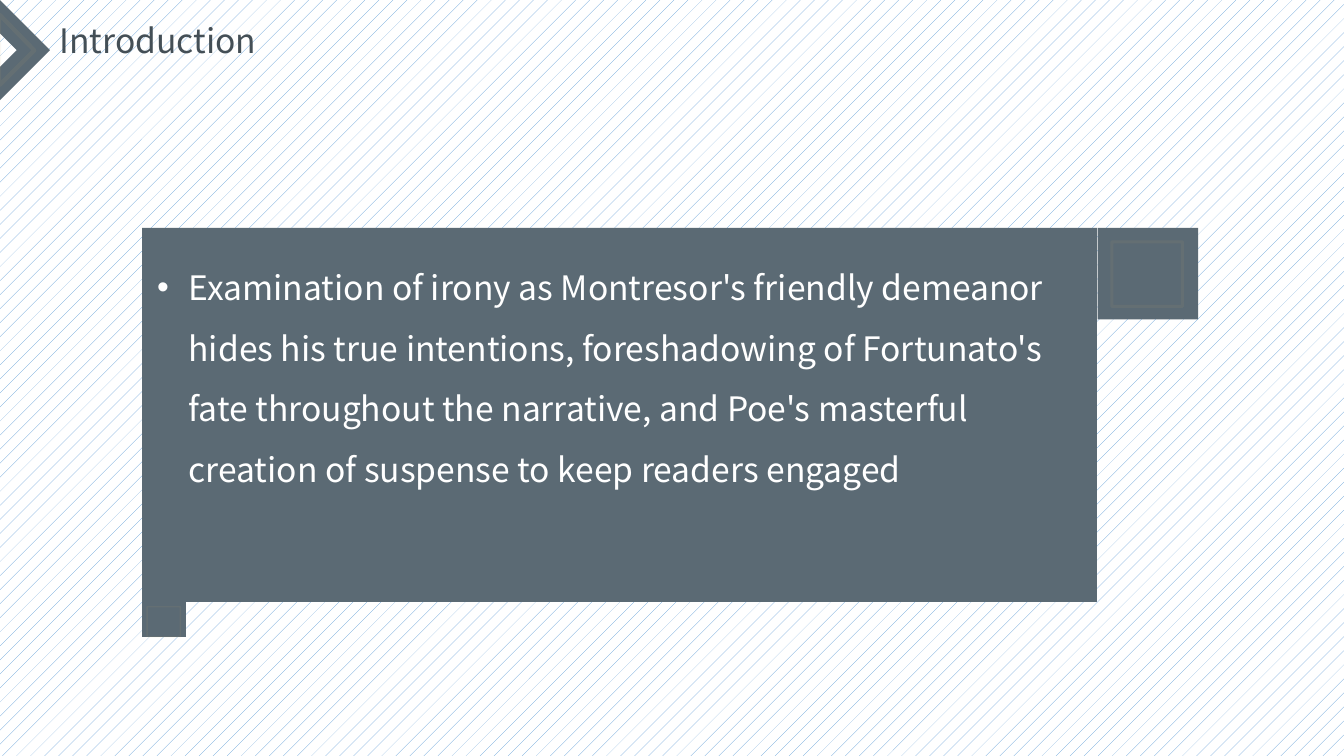
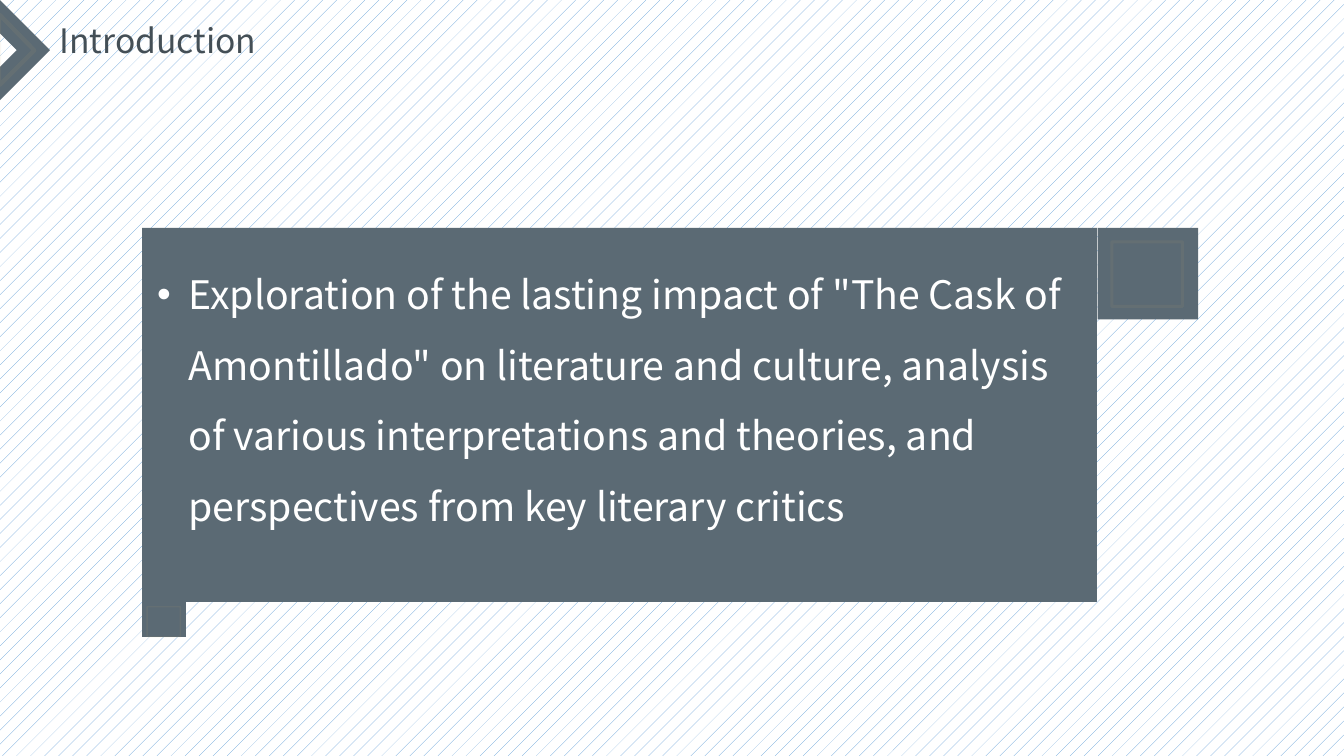
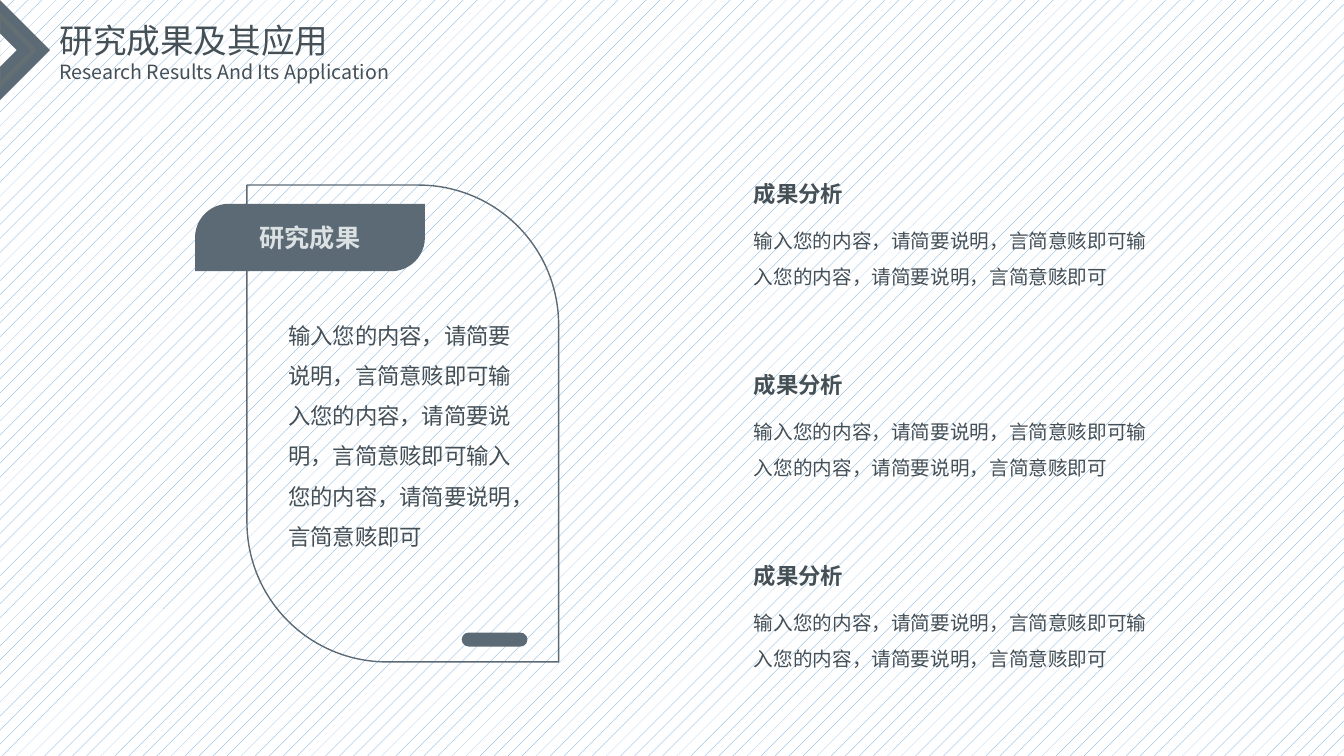
import pptx
import pptx.dml.color
import pptx.enum.dml
import pptx.enum.shapes
import pptx.enum.text
import pptx.oxml.ns
import pptx.util
from lxml import etree

Pt = pptx.util.Pt
RGBColor = pptx.dml.color.RGBColor
SHAPE = pptx.enum.shapes.MSO_SHAPE
ANCHOR = pptx.enum.text.MSO_ANCHOR
ALIGN = pptx.enum.text.PP_ALIGN
qn = pptx.oxml.ns.qn

SLATE = RGBColor(0x5B, 0x6A, 0x74)
INK = RGBColor(0x44, 0x4F, 0x56)
PALE = RGBColor(0xDC, 0xE1, 0xE4)
GOLD = RGBColor(0xD7, 0xB2, 0x6C)
DOT_BLUE = RGBColor(0x5B, 0x9B, 0xD5)
WHITE = RGBColor(0xFF, 0xFF, 0xFF)
FONT = "Noto Sans CJK SC"
GOLD_ALPHA = 8  # percent opacity
BULLET_INDENT = 22.5

STATEMENTS = [
    ("Introduction",
     "Examination of irony as Montresor's friendly demeanor hides his true "
     "intentions, foreshadowing of Fortunato's fate throughout the narrative, "
     "and Poe's masterful creation of suspense to keep readers engaged", 24),
    ("Introduction",
     'Exploration of the lasting impact of "The Cask of Amontillado" on '
     "literature and culture, analysis of various interpretations and "
     "theories, and perspectives from key literary critics", 28),
]
RESULTS_TITLE = "研究成果及其应用"
RESULTS_SUBTITLE = "Research Results And Its Application"
RESULTS_BADGE = "研究成果"
SENTENCE = "输入您的内容，请简要说明，言简意赅即可"
ANALYSES = [("成果分析", SENTENCE * 2)] * 3

STATEMENT_BLOCKS = [  # panel, upper right tab, lower left foot
    (101.5, 162.7, 682, 267.2),
    (784, 162.7, 71.8, 65.5),
    (101.5, 424.8, 31.2, 30.2),
]
GOLD_FRAMES = [  # box and line width
    ((794.2, 172.8, 50.4, 46.1), 2.25),
    ((105.1, 433.4, 23.8, 21.6), 1),
]


def place(shape, box):
    shape.left, shape.top, shape.width, shape.height = (Pt(v) for v in box)


def write(shape, text, size, color=INK, bold=False, spacing=1.0,
          align=ALIGN.LEFT, anchor=ANCHOR.TOP):
    """Fill a shape with one formatted paragraph and return it."""
    frame = shape.text_frame
    frame.text = text
    frame.word_wrap = True
    frame.auto_size = pptx.enum.text.MSO_AUTO_SIZE.NONE
    frame.vertical_anchor = anchor
    para = frame.paragraphs[0]
    para.alignment = align
    para.line_spacing = spacing
    for span in para.runs:
        span.font.name = FONT
        span.font.size = Pt(size)
        span.font.bold = bold
        span.font.color.rgb = color
        east_asian = etree.SubElement(span.font._element, qn("a:ea"))
        east_asian.set("typeface", FONT)
    return para


def add_text(page, box, text, size, **style):
    shape = page.shapes.add_textbox(*(Pt(v) for v in box))
    return write(shape, text, size, **style)


def style_shape(shape, fill=None, line=None, line_width=1):
    shape.shadow.inherit = False
    if fill is None:
        shape.fill.background()
    else:
        shape.fill.solid()
        shape.fill.fore_color.rgb = fill
    if line is None:
        shape.line.fill.background()
    else:
        shape.line.color.rgb = line
        shape.line.width = Pt(line_width)


def add_block(page, kind, box, adjustments=(), **style):
    shape = page.shapes.add_shape(kind, *(Pt(v) for v in box))
    for index, value in enumerate(adjustments):
        shape.adjustments[index] = value
    style_shape(shape, **style)
    return shape


def fade_line(shape):
    color = shape.element.xpath(".//a:ln//a:srgbClr")[0]
    alpha = etree.SubElement(color, qn("a:alpha"))
    alpha.set("val", str(GOLD_ALPHA * 1000))


def add_bullet(para):
    properties = para._p.get_or_add_pPr()
    properties.set("marL", str(Pt(BULLET_INDENT)))
    properties.set("indent", str(-Pt(BULLET_INDENT)))
    etree.SubElement(properties, qn("a:buFont")).set("typeface", "Arial")
    etree.SubElement(properties, qn("a:buChar")).set("char", "•")


def add_page(deck, title):
    """Add a slide with the shared background, corner chevron and title."""
    page = deck.slides.add_slide(deck.slide_layouts[5])
    fill = page.background.fill
    fill.patterned()
    fill.pattern = pptx.enum.dml.MSO_PATTERN.PERCENT_5
    fill.fore_color.rgb = DOT_BLUE
    fill.back_color.rgb = WHITE

    chevron = add_block(page, SHAPE.HALF_FRAME, (-25.2, 10.6, 50.4, 50.4), fill=SLATE)
    chevron.rotation = 135
    builder = page.shapes.build_freeform(Pt(0), Pt(10.8))
    builder.add_line_segments(
        [(Pt(x), Pt(y)) for x, y in ((24.5, 36), (0, 60.5), (-0.7, 59.8), (-0.7, 11.5))])
    outline = builder.convert_to_shape()
    style_shape(outline, line=GOLD, line_width=3)
    fade_line(outline)

    place(page.shapes.title, (35.3, 10.8, 245, 36))
    write(page.shapes.title, title, 24)
    return page


def add_statement_page(deck, title, statement, size):
    page = add_page(deck, title)
    for box in STATEMENT_BLOCKS:
        add_block(page, SHAPE.RECTANGLE, box, fill=SLATE)
    for box, width in GOLD_FRAMES:
        fade_line(add_block(page, SHAPE.RECTANGLE, box, line=GOLD, line_width=width))
    add_bullet(add_text(page, (105.1, 172.8, 661.7, 182.2), statement, size,
                        color=WHITE, spacing=1.5))


def add_results_page(deck):
    page = add_page(deck, RESULTS_TITLE)
    add_text(page, (35.3, 39.6, 327, 24.5), RESULTS_SUBTITLE, 14)

    add_block(page, SHAPE.ROUND_2_DIAG_RECTANGLE, (176.4, 132.2, 222.7, 340.6),
              (0, 0.449), line=SLATE)
    badge = add_block(page, SHAPE.ROUND_2_DIAG_RECTANGLE, (139.3, 145.6, 164.2, 48.2),
                      (0.5, 0), fill=SLATE)
    write(badge, RESULTS_BADGE, 18, color=PALE, bold=True,
          align=ALIGN.CENTER, anchor=ANCHOR.MIDDLE)
    add_text(page, (198.7, 216.7, 177.8, 177.1), SENTENCE * 3, 16, spacing=1.5)
    add_block(page, SHAPE.ROUNDED_RECTANGLE, (329.8, 451.8, 47, 10), (0.5,), fill=SLATE)

    left, first_top, pitch = 531.4, 125.3, 136.4
    for index, (heading, detail) in enumerate(ANALYSES):
        top = first_top + index * pitch
        add_text(page, (left, top, 170.6, 26.6), heading, 16, bold=True)
        add_text(page, (left, top + 26.5, 302.4, 58.3), detail, 14, spacing=1.5)


def main():
    deck = pptx.Presentation()
    deck.slide_width, deck.slide_height = Pt(960), Pt(540)
    for statement in STATEMENTS:
        add_statement_page(deck, *statement)
    add_results_page(deck)
    deck.save("out.pptx")


if __name__ == "__main__":
    main()
